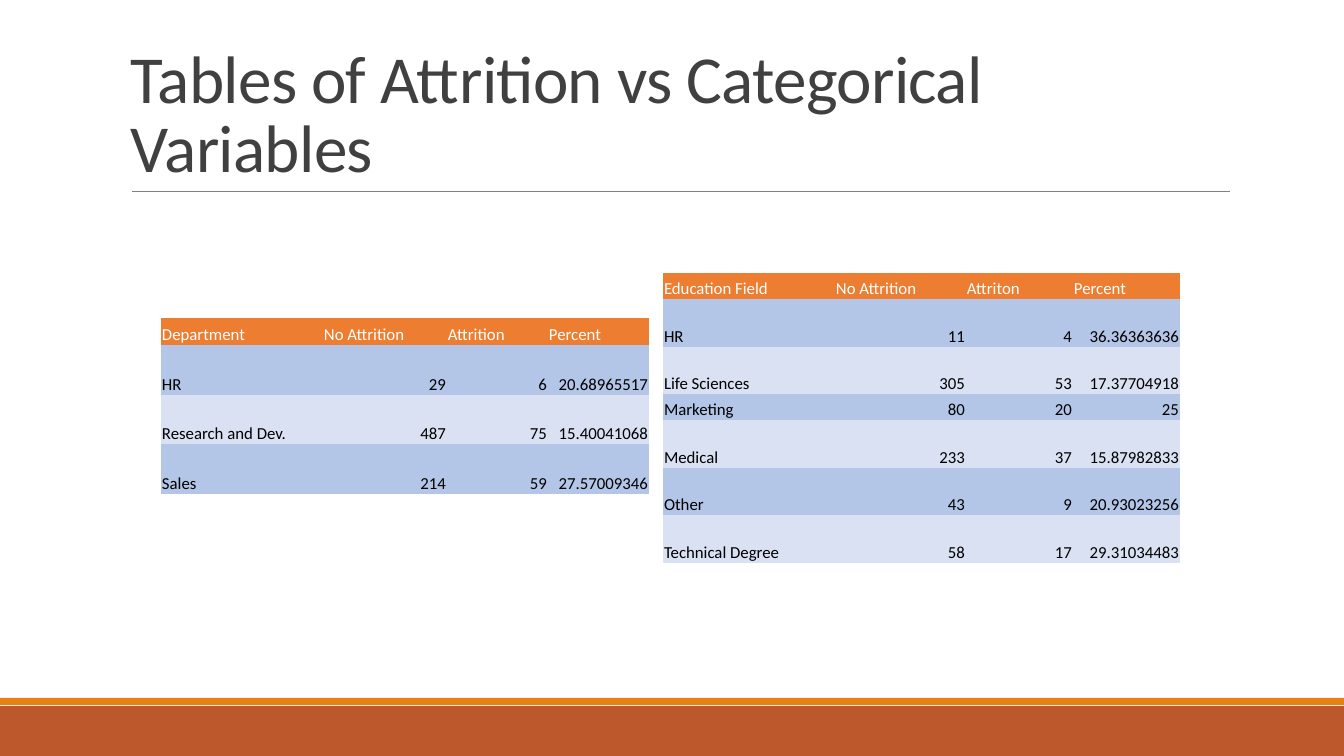
import pptx
import pptx.dml.color
import pptx.enum.shapes
import pptx.enum.text
import pptx.oxml
import pptx.oxml.ns
import pptx.util

RGB = pptx.dml.color.RGBColor
WHITE = RGB(0xFF, 0xFF, 0xFF)
BLACK = RGB(0, 0, 0)
TITLE_GREY = RGB(0x40, 0x40, 0x40)
RULE_GREY = RGB(0x80, 0x80, 0x80)
RUST = RGB(0xBD, 0x58, 0x2C)
AMBER = RGB(0xE4, 0x83, 0x12)
HEADER_ORANGE = RGB(0xED, 0x7D, 0x31)
BANDS = (RGB(0xB4, 0xC6, 0xE7), RGB(0xD9, 0xE1, 0xF2))

FONT = "Calibri"
NO_STYLE = "{2D5ABB26-0587-4C30-8999-92F81FD0307C}"
EMU_PER_PX = 914400 / 100.8
WIDTH, HEIGHT = 1344, 756

DEPARTMENTS = [
    ("Department", "No Attrition", "Attrition", "Percent"),
    ("HR", "29", "6", "20.68965517"),
    ("Research and Dev.", "487", "75", "15.40041068"),
    ("Sales", "214", "59", "27.57009346"),
]
EDUCATION_FIELDS = [
    ("Education Field", "No Attrition", "Attriton", "Percent"),
    ("HR", "11", "4", "36.36363636"),
    ("Life Sciences", "305", "53", "17.37704918"),
    ("Marketing", "80", "20", "25"),
    ("Medical", "233", "37", "15.87982833"),
    ("Other", "43", "9", "20.93023256"),
    ("Technical Degree", "58", "17", "29.31034483"),
]


def px(n):
    """Turn pixels into EMU."""
    return pptx.util.Emu(round(n * EMU_PER_PX))


def write(tf, text, size=12, color=BLACK, align="LEFT", line_spacing=None, spc=None):
    """Write one formatted paragraph into a text frame."""
    p = tf.paragraphs[0]
    p.alignment = getattr(pptx.enum.text.PP_ALIGN, align)
    if line_spacing:
        p.line_spacing = line_spacing
    r = p.add_run()
    r.text = text
    r.font.name = FONT
    r.font.size = pptx.util.Pt(size)
    r.font.color.rgb = color
    if spc:
        r.font._element.set("spc", str(round(spc * 100)))


def add_bar(s, y, h, color):
    """Add a full-width bar without outline."""
    sp = s.shapes.add_shape(pptx.enum.shapes.MSO_SHAPE.RECTANGLE, 0, px(y), px(WIDTH), px(h))
    sp.shadow.inherit = False
    sp.fill.solid()
    sp.fill.fore_color.rgb = color
    sp.line.fill.background()


def add_rule(s, x1, x2, y):
    """Add the thin line under the title."""
    line = s.shapes.add_connector(
        pptx.enum.shapes.MSO_CONNECTOR.STRAIGHT, px(x1), px(y), px(x2), px(y))
    line.line.color.rgb = RULE_GREY
    line.line.width = pptx.util.Pt(0.5)
    line._element.spPr.append(pptx.oxml.parse_xml(
        "<a:effectLst %s/>" % pptx.oxml.ns.nsdecls("a")))


def add_title(s, text, x, y, w, h):
    """Add the title, resting on the bottom of its box."""
    tf = s.shapes.add_textbox(px(x), px(y), px(w), px(h)).text_frame
    tf.word_wrap = True
    tf.vertical_anchor = pptx.enum.text.MSO_ANCHOR.BOTTOM
    write(tf, text, size=48, color=TITLE_GREY, line_spacing=0.85, spc=-0.5)


def fill_cell(cell, text, fill, **text_format):
    """Fill a cell with a colour and bottom-anchored text."""
    cell.fill.solid()
    cell.fill.fore_color.rgb = fill
    cell.vertical_anchor = pptx.enum.text.MSO_ANCHOR.BOTTOM
    cell.margin_left = cell.margin_right = cell.margin_top = px(1)
    cell.margin_bottom = 0
    write(cell.text_frame, text, **text_format)


def add_banded_table(s, x, y, col_widths, row_heights, rows):
    """Add a table with an orange header and alternating blue rows."""
    frame = s.shapes.add_table(len(rows), len(col_widths), px(x), px(y),
                               px(sum(col_widths)), px(sum(row_heights)))
    table = frame.table
    table._tbl.tblPr.find(pptx.oxml.ns.qn("a:tableStyleId")).text = NO_STYLE
    for col, w in zip(table.columns, col_widths):
        col.width = px(w)
    for i, (values, h) in enumerate(zip(rows, row_heights)):
        table.rows[i].height = px(h)
        for j, text in enumerate(values):
            cell = table.cell(i, j)
            if i == 0:
                fill_cell(cell, text, HEADER_ORANGE, color=WHITE)
            else:
                fill_cell(cell, text, BANDS[(i - 1) % 2], align="RIGHT" if j else "LEFT")


def main():
    """Build the slide and save it."""
    prs = pptx.Presentation()
    prs.slide_width, prs.slide_height = px(WIDTH), px(HEIGHT)
    s = prs.slides.add_slide(prs.slide_layouts[6])
    add_bar(s, 706, 50, RUST)
    add_bar(s, 698, 7, AMBER)
    add_rule(s, 132, 1230, 191)
    add_title(s, "Tables of Attrition vs Categorical Variables", 121, 31, 1109, 160)
    add_banded_table(s, 161, 318, [162, 124, 101, 101], [27, 50, 49, 50], DEPARTMENTS)
    add_banded_table(s, 663, 273, [172, 131, 107, 107],
                     [26, 48, 47, 26, 48, 47, 48], EDUCATION_FIELDS)
    prs.save("out.pptx")


main()
